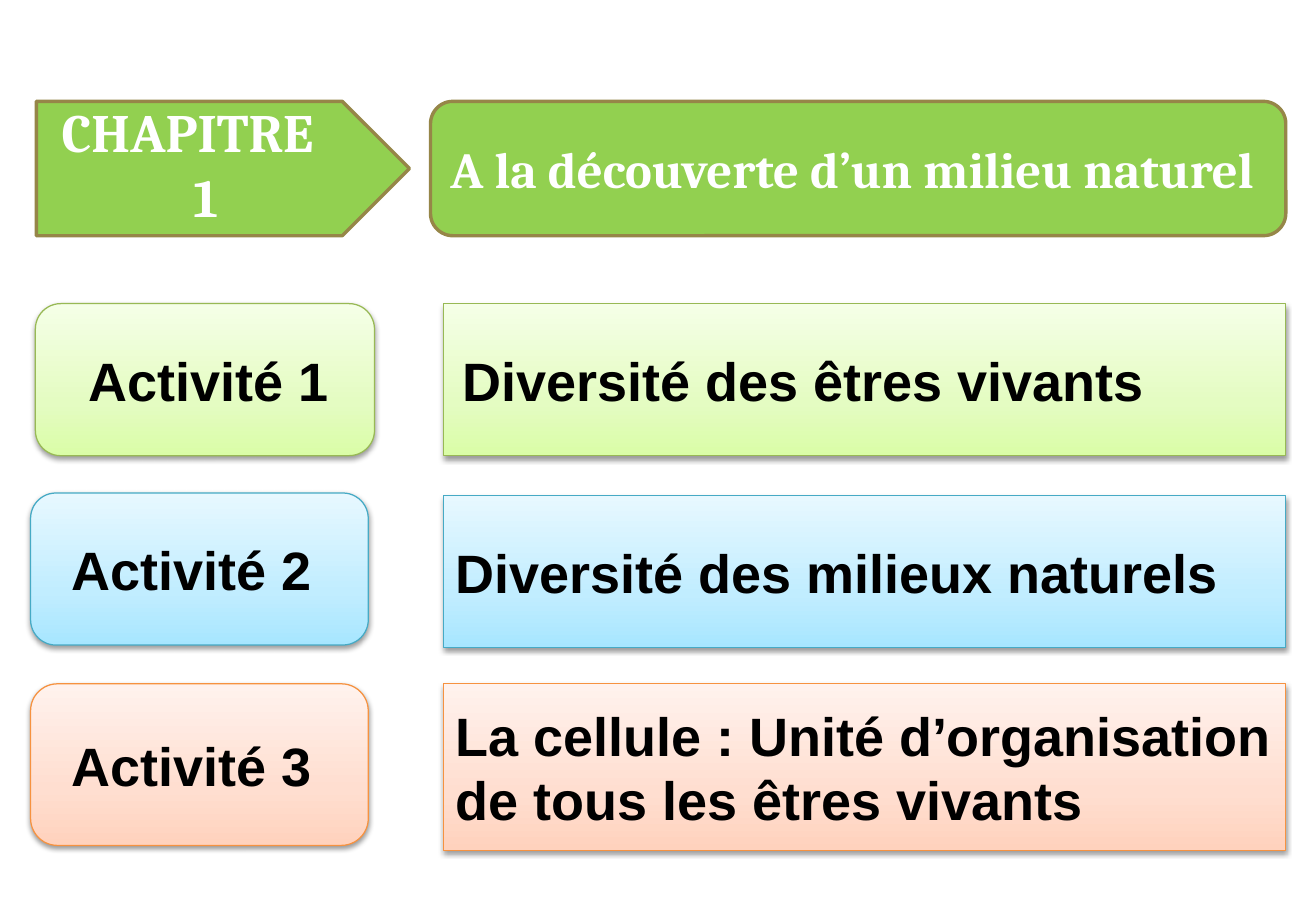
from copy import deepcopy

from lxml.etree import SubElement
from pptx import Presentation
from pptx.dml.color import RGBColor
from pptx.enum.shapes import MSO_SHAPE
from pptx.enum.text import MSO_ANCHOR, MSO_AUTO_SIZE, PP_ALIGN
from pptx.oxml.ns import qn
from pptx.util import Cm, Pt

BOX_LEFT, BOX_WIDTH = 9.27, 17.6
GREEN = ("DAFDA7", "E4FCC2", "F5FFE7", "98B955")
BLUE = ("A7E6FF", "C1EDFF", "E7F8FF", "46AAC5")
ORANGE = ("FFD2BD", "FFDED0", "FFF2ED", "F69240")

# Label, (left, top, width, height, indent), topic, (top, height, indent), colours
ROWS = [
    ("Activité 1", (0.74, 6.35, 7.09, 3.18, 0.96),
     "Diversité des êtres vivants", (6.35, 3.18, 0.4), GREEN),
    ("Activité 2", (0.64, 10.31, 7.06, 3.18, 0.7),
     "Diversité des milieux naturels", (10.36, 3.18, 0.25), BLUE),
    ("Activité 3", (0.64, 14.3, 7.06, 3.38, 0.7),
     "La cellule : Unité d’organisation de tous les êtres vivants",
     (14.3, 3.48, 0.25), ORANGE),
]


def paint(target, color):
    target.rgb = RGBColor.from_string(color)


def place(shape, left, top, width, height):
    shape.left, shape.top = Cm(left), Cm(top)
    shape.width, shape.height = Cm(width), Cm(height)


def write(shape, text, font, size, color, indent):
    frame = shape.text_frame
    frame.text = text
    frame.word_wrap = True
    frame.vertical_anchor = MSO_ANCHOR.MIDDLE
    frame.margin_left = Cm(indent)
    para = frame.paragraphs[0]
    para.alignment = PP_ALIGN.LEFT
    para.font.name, para.font.size, para.font.bold = font, Pt(size), True
    paint(para.font.color, color)
    return para


def add_box(slide, kind, area, line, weight):
    shape = slide.shapes.add_shape(kind, *map(Cm, area))
    shape.shadow.inherit = False
    paint(shape.line.color, line)
    shape.line.width = Pt(weight)
    return shape


def add_banner(slide, kind, area):
    shape = add_box(slide, kind, area, "968648", 2)
    shape.fill.solid()
    paint(shape.fill.fore_color, "92D050")
    return shape


def shade(shape, colors):
    """Fill with three gradient stops, the first colour at the bottom."""
    fill = shape.fill
    fill.gradient()
    fill.gradient_angle = 90
    first = shape._element.spPr.find(".//" + qn("a:gs"))
    first.addnext(deepcopy(first))
    for stop, spot, color in zip(fill.gradient_stops, (0, 0.35, 1), colors):
        stop.position = spot
        paint(stop.color, color)


def add_shadow(shape):
    effects = shape._element.spPr.find(qn("a:effectLst"))
    outer = SubElement(effects, qn("a:outerShdw"), blurRad="40000",
                       dist="20000", dir="5400000", rotWithShape="0")
    black = SubElement(outer, qn("a:srgbClr"), val="000000")
    SubElement(black, qn("a:alpha"), val="38000")


def add_card(slide, kind, area, text, indent, colors):
    *stops, line = colors
    shape = add_box(slide, kind, area, line, 0.75)
    shade(shape, stops)
    add_shadow(shape)
    write(shape, text, "Arial", 32, "000000", indent)


def set_title(slide, text):
    title = slide.shapes.title
    place(title, 1.27, 2.06, 5.6, 2.8)
    para = write(title, text, "Cambria", 32, "FFFFFF", 0)
    frame = title.text_frame
    frame.auto_size = MSO_AUTO_SIZE.NONE
    frame.vertical_anchor = MSO_ANCHOR.TOP
    frame.margin_top = frame.margin_right = frame.margin_bottom = 0
    para.space_before = Pt(1.1)
    props = para._p.get_or_add_pPr()
    props.set("marL", str(Cm(2.77)))
    props.set("indent", str(Cm(-2.75)))
    # Bring the title in front of its arrow
    slide.shapes._spTree.append(title._element)


def main():
    deck = Presentation()
    deck.slide_width, deck.slide_height = Cm(27.51), Cm(19.05)
    slide = deck.slides.add_slide(deck.slide_layouts[5])

    add_banner(slide, MSO_SHAPE.PENTAGON, (0.76, 2.12, 7.8, 2.81))
    set_title(slide, "CHAPITRE 1")
    theme = add_banner(slide, MSO_SHAPE.ROUNDED_RECTANGLE,
                       (9, 2.12, 17.88, 2.81))
    write(theme, "A la découverte d’un milieu naturel",
          "Cambria", 30, "FFFFFF", 0.28)

    for label, (*area, inset), topic, (top, height, indent), colors in ROWS:
        add_card(slide, MSO_SHAPE.ROUNDED_RECTANGLE, area, label, inset, colors)
        add_card(slide, MSO_SHAPE.RECTANGLE, (BOX_LEFT, top, BOX_WIDTH, height),
                 topic, indent, colors)
    deck.save("out.pptx")


if __name__ == "__main__":
    main()
